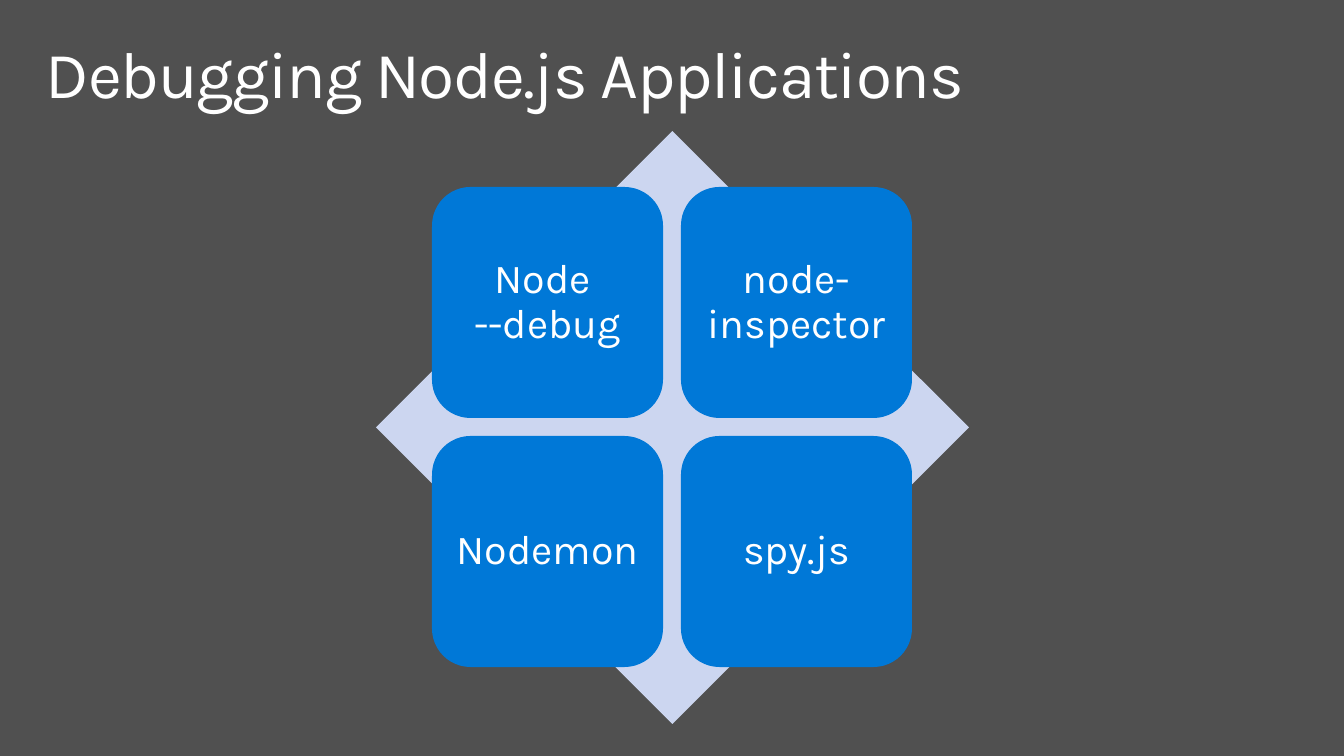
from pptx import Presentation
from pptx.dml.color import RGBColor
from pptx.enum.shapes import MSO_SHAPE
from pptx.enum.text import MSO_ANCHOR, PP_ALIGN
from pptx.util import Pt

DIAMOND, ROUND = MSO_SHAPE.DIAMOND, MSO_SHAPE.ROUNDED_RECTANGLE
TOP, MIDDLE, CENTER, LEFT = MSO_ANCHOR.TOP, MSO_ANCHOR.MIDDLE, PP_ALIGN.CENTER, PP_ALIGN.LEFT
PX = 9255
COLORS = {"back": "505050", "diamond": "CCD6F0", "tile": "0078D7", "text": "FFFFFF"}


def add_block(kind, color, x, y, size):
    """Add a square shape with a plain fill and no outline."""
    block = slide.shapes.add_shape(kind, x * PX, y * PX, size * PX, size * PX)
    block.shadow.inherit = False
    block.fill.solid()
    block.fill.fore_color.rgb = RGBColor.from_string(COLORS[color])
    block.line.fill.background()
    return block


def set_text(shape, text, size, align, anchor, side, edge):
    """Write one paragraph; side and edge are the insets in px."""
    frame = shape.text_frame
    frame.word_wrap = True
    frame.vertical_anchor = anchor
    frame.margin_left = frame.margin_right = side * PX
    frame.margin_top = frame.margin_bottom = edge * PX
    para = frame.paragraphs[0]
    para.text = text
    para.alignment = align
    para.line_spacing = 0.9
    para.font.name = "Karla"
    para.font.size = Pt(size)
    para.font.color.rgb = RGBColor.from_string(COLORS["text"])
    return para


deck = Presentation()
deck.slide_width, deck.slide_height = 1344 * PX, 756 * PX
slide = deck.slides.add_slide(deck.slide_layouts[6])
slide.background.fill.solid()
slide.background.fill.fore_color.rgb = RGBColor.from_string(COLORS["back"])

title = slide.shapes.add_textbox(30 * PX, 32 * PX, 1284 * PX, 99 * PX)
para = set_text(title, "Debugging Node.js Applications", 48, LEFT, TOP, 16, 10)
para.runs[0]._r.get_or_add_rPr().set("spc", "-100")

add_block(DIAMOND, "diamond", 376, 131, 593)

TILE, STEP = 231, 249
tools = ["Node \v--debug", "node-inspector", "Nodemon", "spy.js"]
for i, tool in enumerate(tools):
    row, col = divmod(i, 2)
    tile = add_block(ROUND, "tile", 432 + col * STEP, 187 + row * STEP, TILE)
    set_text(tile, tool, 30, CENTER, MIDDLE, 12, 12)

deck.save("out.pptx")
